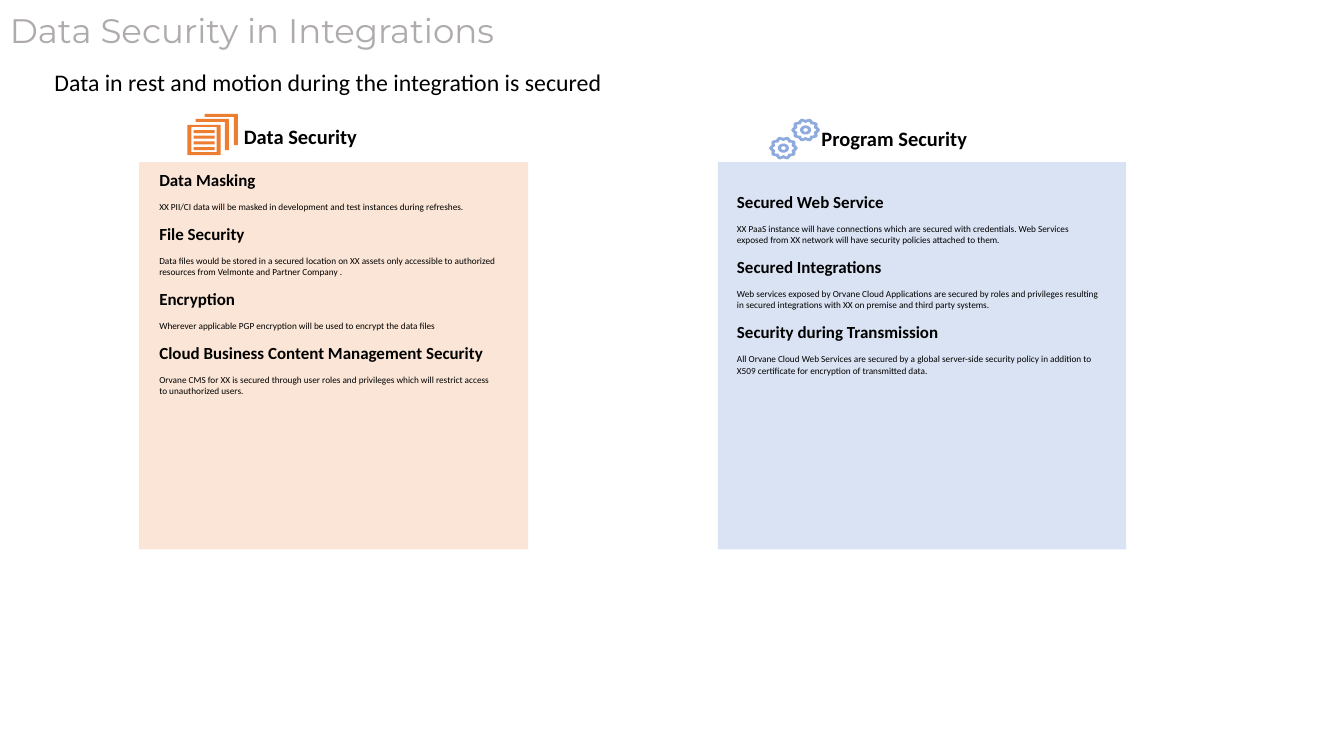
"""Builds the slide on data security in integrations."""
from math import cos, pi, sin

from pptx import Presentation
from pptx.dml.color import RGBColor
from pptx.enum.shapes import MSO_SHAPE
from pptx.enum.text import MSO_ANCHOR, MSO_AUTO_SIZE, PP_ALIGN
from pptx.util import Inches, Pt

BLACK = RGBColor(0x00, 0x00, 0x00)
TITLE_GRAY = RGBColor(0xAF, 0xAB, 0xAB)
PEACH = RGBColor(0xFB, 0xE5, 0xD6)
PALE_BLUE = RGBColor(0xDA, 0xE3, 0xF3)
ORANGE = RGBColor(0xED, 0x7D, 0x31)
BLUE = RGBColor(0x8F, 0xAA, 0xDC)

DATA_TOPICS = [
    ("Data Masking",
     "XX PII/CI data will be masked in development and test instances during refreshes."),
    ("File Security",
     "Data files would be stored in a secured location on XX assets only accessible to "
     "authorized resources from Velmonte and Partner Company ."),
    ("Encryption",
     "Wherever applicable PGP encryption will be used to encrypt the data files"),
    ("Cloud Business Content Management Security",
     "Orvane CMS for XX is secured through user roles and privileges which will restrict "
     "access to unauthorized users."),
]
PROGRAM_TOPICS = [
    ("Secured Web Service",
     "XX PaaS instance will have connections which are secured with credentials. Web "
     "Services exposed from XX network will have security policies attached to them."),
    ("Secured Integrations",
     "Web services exposed by Orvane Cloud Applications are secured by roles and privileges "
     "resulting in secured integrations with XX on premise and third party systems."),
    ("Security during Transmission",
     "All Orvane Cloud Web Services are secured by a global server-side security policy in "
     "addition to X509 certificate for encryption of transmitted data."),
]


def box(left, top, right, bottom):
    """Return the corners of a rectangle."""
    return [(left, top), (right, top), (right, bottom), (left, bottom)]


def sheet_edge(left, top):
    """Return the visible top and right edge of a sheet lying behind."""
    right, bottom = left + 0.33, top + 0.31
    return [(left, top), (right, top), (right, bottom), (right - 0.04, bottom),
            (right - 0.04, top + 0.03), (left, top + 0.03)]


def gear_ring(x, y, radius, tooth):
    """Return a ten-toothed ring, slightly wider than tall."""
    ring = []
    for step in range(100):
        angle = 2 * pi * step / 100
        reach = radius + tooth * cos(10 * angle)
        ring.append((x + 0.14 * reach * cos(angle), y + 0.115 * reach * sin(angle)))
    return ring


class SecuritySlide:
    """Holds the style and the current slide."""

    def __init__(self, slide, font):
        self.slide = slide
        self.font = font

    def style(self, paragraph, size, bold=False, color=BLACK, font=None):
        """Format every run of a paragraph."""
        for run in paragraph.runs:
            run.font.name = font or self.font
            run.font.size = Pt(size)
            run.font.bold = bold
            run.font.color.rgb = color

    def frame(self, left, top, width, height):
        """Add a text box without margins and return its text frame."""
        area = self.slide.shapes.add_textbox(
            Inches(left), Inches(top), Inches(width), Inches(height))
        frame = area.text_frame
        frame.word_wrap = True
        frame.auto_size = MSO_AUTO_SIZE.SHAPE_TO_FIT_TEXT
        frame.margin_left = frame.margin_right = 0
        frame.margin_top = frame.margin_bottom = 0
        return frame

    def title(self, wording):
        """Add the slide title."""
        frame = self.frame(0, 0.04, 10.94, 0.57)
        frame.auto_size = MSO_AUTO_SIZE.NONE
        frame.margin_left = Inches(0.1)
        frame.vertical_anchor = MSO_ANCHOR.MIDDLE
        frame.text = wording
        frame.paragraphs[0].line_spacing = 0.9
        self.style(frame.paragraphs[0], 24.3, color=TITLE_GRAY, font="Montserrat")

    def subtitle(self, wording):
        """Add the line under the title."""
        frame = self.frame(0.54, 0.67, 7.67, 0.29)
        frame.text = wording
        self.style(frame.paragraphs[0], 17)

    def heading(self, wording, left, top):
        """Add a centred panel heading."""
        frame = self.frame(left, top, 1.48, 0.24)
        frame.text = wording
        frame.paragraphs[0].alignment = PP_ALIGN.CENTER
        self.style(frame.paragraphs[0], 14.6, bold=True)

    def panel(self, left, width, color):
        """Add a coloured panel."""
        panel = self.slide.shapes.add_shape(
            MSO_SHAPE.RECTANGLE, Inches(left), Inches(1.61), Inches(width), Inches(3.84))
        self.paint(panel, color)

    def paint(self, shape, color):
        """Give a shape a plain fill."""
        shape.shadow.inherit = False
        shape.fill.solid()
        shape.fill.fore_color.rgb = color
        shape.line.fill.background()

    def topics(self, topics, left, top, width, height):
        """Add topic names, each followed by its explanation."""
        frame = self.frame(left, top, width, height)
        frame.text = "\n".join(line for topic in topics for line in topic)
        for index, paragraph in enumerate(frame.paragraphs):
            is_name = index % 2 == 0
            paragraph.space_after = Pt(8.1)
            self.style(paragraph, 12.1 if is_name else 6.6, bold=is_name)

    def icon(self, outlines, color):
        """Add one freeform made of closed outlines."""
        points = [[(Inches(x), Inches(y)) for x, y in outline] for outline in outlines]
        builder = self.slide.shapes.build_freeform(*points[0][0])
        for index, outline in enumerate(points):
            if index:
                builder.move_to(*outline[0])
            builder.add_line_segments(outline[1:], close=True)
        self.paint(builder.convert_to_shape(), color)


def main():
    """Build and save the slide."""
    deck = Presentation()
    deck.slide_width, deck.slide_height = Inches(13.33), Inches(7.5)
    page = SecuritySlide(deck.slides.add_slide(deck.slide_layouts[6]), "Calibri")

    page.title("Data Security in Integrations")
    page.subtitle("Data in rest and motion during the integration is secured")

    page.panel(1.38, 3.86, PEACH)
    page.topics(DATA_TOPICS, 1.58, 1.68, 3.35, 2.27)
    page.heading("Data Security", 2.24, 1.23)

    page.heading("Program Security", 8.13, 1.25)
    page.panel(7.12, 4.05, PALE_BLUE)
    page.topics(PROGRAM_TOPICS, 7.31, 1.9, 3.6, 1.85)

    front_sheet = [box(1.86, 1.24, 2.19, 1.54), box(1.9, 1.26, 2.15, 1.51)]
    back_sheets = [sheet_edge(1.94, 1.18), sheet_edge(2.03, 1.13)]
    tops = [1.29 + 0.17 * row / 3 for row in range(4)]
    text_lines = [box(1.92, top, 2.13, top + 0.03) for top in tops]
    page.icon(front_sheet + back_sheets + text_lines, ORANGE)

    rings = [(0.95, 0.06), (0.68, 0.07), (0.39, 0), (0.16, 0)]
    centers = [(7.77, 1.47), (7.99, 1.29)]
    page.icon([gear_ring(x, y, radius, tooth)
               for x, y in centers for radius, tooth in rings], BLUE)

    deck.save("out.pptx")


if __name__ == "__main__":
    main()
